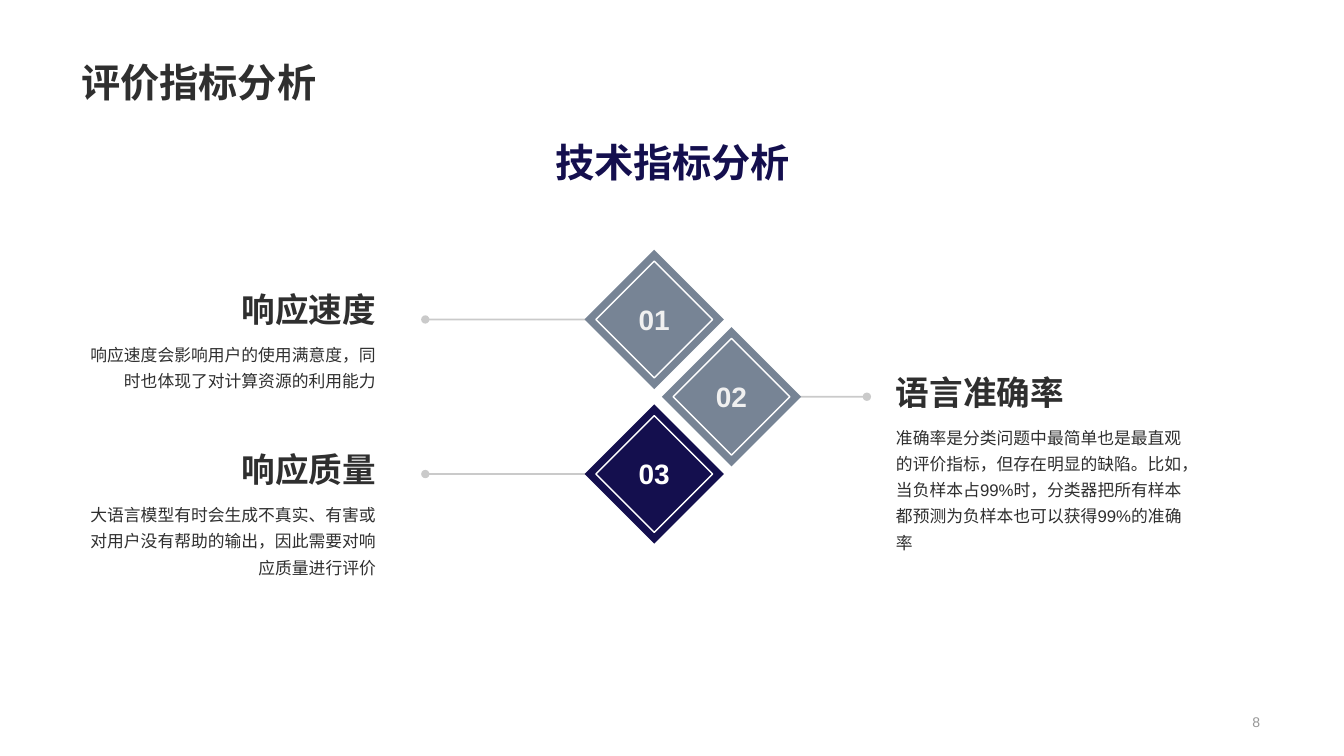
from dataclasses import dataclass

from lxml.etree import SubElement
from pptx import Presentation
from pptx.dml.color import RGBColor
from pptx.enum.lang import MSO_LANGUAGE_ID
from pptx.enum.shapes import MSO_CONNECTOR, MSO_SHAPE
from pptx.enum.text import MSO_ANCHOR, MSO_AUTO_SIZE, PP_ALIGN
from pptx.oxml.ns import qn
from pptx.shapes.autoshape import Shape
from pptx.slide import Slide
from pptx.util import Pt

COLORS = {
    "ink": "2F2F2F",
    "navy": "140F4E",
    "slate": "778495",
    "gray": "979797",
    "pale": "F0F0F0",
    "white": "FFFFFF",
}
TILE_SIZE, FRAME_SIZE = 70.4, 59
FIRST_X, FIRST_Y, STEP = 467.3, 228.2, 55.2
NUMBER_WIDTH, NUMBER_HEIGHT = 36.6, 31.6
HEADING_WIDTH, HEADING_HEIGHT, HEADING_RISE = 188, 46, 35.6
BODY_WIDTH = 225.4
TEXT_INSET = 8.64


@dataclass
class Box:
    left: float
    top: float
    width: float
    height: float


@dataclass
class Indicator:
    number: str
    heading: str
    body: str
    column: int
    tile_color: str
    number_color: str
    line_start: float
    line_end: float
    text_left: float
    body_top: float
    body_height: float
    align: PP_ALIGN


INDICATORS = [
    Indicator("01", "响应速度", "响应速度会影响用户的使用满意度，同时也体现了对计算资源的利用能力",
              0, "slate", "pale", 419.8, 303.8, 51.8, 233.1, 54.7, PP_ALIGN.RIGHT),
    Indicator("02", "语言准确率",
              "准确率是分类问题中最简单也是最直观的评价指标，但存在明显的缺陷。"
              "比如，当负样本占99%时，分类器把所有样本都预测为负样本也可以获得99%的准确率",
              1, "slate", "pale", 570.2, 619.2, 631.4, 292.5, 110.2, PP_ALIGN.LEFT),
    Indicator("03", "响应质量",
              "大语言模型有时会生成不真实、有害或对用户没有帮助的输出，因此需要对响应质量进行评价",
              0, "navy", "white", 419.8, 303.8, 51.8, 347.7, 72, PP_ALIGN.RIGHT),
]


def rgb(name: str) -> RGBColor:
    return RGBColor.from_string(COLORS[name])


def add_text(slide: Slide, box: Box, text: str, size: float, color: str, *,
             bold: bool = False, align: PP_ALIGN = PP_ALIGN.LEFT,
             spacing: float = 1.0, **frame_format) -> None:
    """Add a one-paragraph text box; frame_format overrides text frame attributes."""
    shape = slide.shapes.add_textbox(Pt(box.left), Pt(box.top), Pt(box.width), Pt(box.height))
    for name, value in ({"word_wrap": True} | frame_format).items():
        setattr(shape.text_frame, name, value)
    paragraph = shape.text_frame.paragraphs[0]
    paragraph.alignment = align
    paragraph.line_spacing = spacing
    run = paragraph.add_run()
    run.text = text
    font_format = {"name": "Arial", "size": Pt(size), "bold": bold,
                   "language_id": MSO_LANGUAGE_ID.SIMPLIFIED_CHINESE}
    for name, value in font_format.items():
        setattr(run.font, name, value)
    run.font.color.rgb = rgb(color)


def add_leader(slide: Slide, start: float, end: float, y: float) -> None:
    """Add a half-transparent horizontal line with a dot at its end."""
    connector = slide.shapes.add_connector(
        MSO_CONNECTOR.STRAIGHT, Pt(start), Pt(y), Pt(end), Pt(y))
    connector.line.width = Pt(1.25)
    connector.line.color.rgb = rgb("gray")
    line = connector.line._get_or_add_ln()
    SubElement(line.find(".//" + qn("a:srgbClr")), qn("a:alpha"), val="50000")
    SubElement(line, qn("a:tailEnd"), type="oval")
    SubElement(connector._element.spPr, qn("a:effectLst"))


def add_turned_square(slide: Slide, x: float, y: float, size: float) -> Shape:
    shape = slide.shapes.add_shape(
        MSO_SHAPE.RECTANGLE, Pt(x - size / 2), Pt(y - size / 2), Pt(size), Pt(size))
    shape.rotation = 45
    shape.shadow.inherit = False
    return shape


def add_tile(slide: Slide, indicator: Indicator, x: float, y: float) -> None:
    tile = add_turned_square(slide, x, y, TILE_SIZE)
    tile.fill.solid()
    tile.fill.fore_color.rgb = rgb(indicator.tile_color)
    tile.line.fill.background()
    frame = add_turned_square(slide, x, y, FRAME_SIZE)
    frame.fill.background()
    frame.line.color.rgb = rgb("white")
    frame.line.width = Pt(1)
    number_box = Box(x - NUMBER_WIDTH / 2, y - NUMBER_HEIGHT / 2, NUMBER_WIDTH, NUMBER_HEIGHT)
    add_text(slide, number_box, indicator.number, 20, indicator.number_color, bold=True,
             word_wrap=False, auto_size=MSO_AUTO_SIZE.SHAPE_TO_FIT_TEXT)


def add_description(slide: Slide, indicator: Indicator) -> None:
    frame_format = {f"margin_{side}": Pt(TEXT_INSET)
                    for side in ("left", "top", "right", "bottom")}
    frame_format["auto_size"] = MSO_AUTO_SIZE.SHAPE_TO_FIT_TEXT
    left = indicator.text_left
    heading_left = left
    if indicator.align == PP_ALIGN.RIGHT:
        heading_left += BODY_WIDTH - HEADING_WIDTH
    heading_box = Box(heading_left, indicator.body_top - HEADING_RISE,
                      HEADING_WIDTH, HEADING_HEIGHT)
    add_text(slide, heading_box, indicator.heading, 24, "ink", bold=True,
             align=indicator.align, vertical_anchor=MSO_ANCHOR.BOTTOM, **frame_format)
    body_box = Box(left, indicator.body_top, BODY_WIDTH, indicator.body_height)
    add_text(slide, body_box, indicator.body, 12, "ink",
             align=indicator.align, spacing=1.3, **frame_format)


def main() -> None:
    presentation = Presentation()
    presentation.slide_width, presentation.slide_height = Pt(960), Pt(540)
    slide = presentation.slides.add_slide(presentation.slide_layouts[6])

    add_text(slide, Box(51.1, 0, 856, 79.2), "评价指标分析", 28, "ink", bold=True,
             spacing=0.9, vertical_anchor=MSO_ANCHOR.BOTTOM)
    add_text(slide, Box(77.8, 89.3, 805, 46.8), "技术指标分析", 28, "navy", bold=True,
             align=PP_ALIGN.CENTER, vertical_anchor=MSO_ANCHOR.BOTTOM)
    add_text(slide, Box(697.7, 506.9, 209.5, 17.3), "8", 10, "gray",
             align=PP_ALIGN.RIGHT, vertical_anchor=MSO_ANCHOR.MIDDLE)

    for row, indicator in enumerate(INDICATORS):
        x, y = FIRST_X + indicator.column * STEP, FIRST_Y + row * STEP
        add_leader(slide, indicator.line_start, indicator.line_end, y)
        add_tile(slide, indicator, x, y)
        add_description(slide, indicator)

    presentation.save("out.pptx")


if __name__ == "__main__":
    main()
